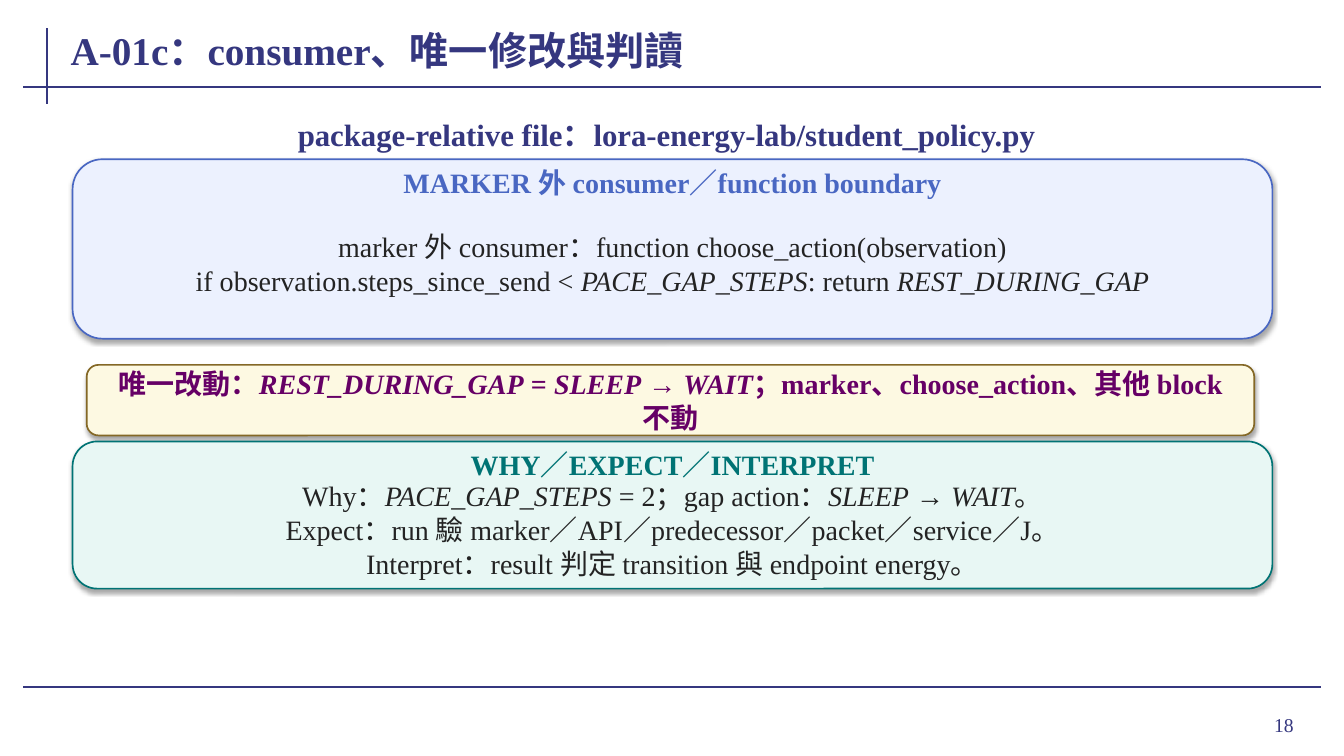
from lxml import etree
from pptx import Presentation
from pptx.dml.color import RGBColor
from pptx.enum.shapes import MSO_CONNECTOR, MSO_SHAPE
from pptx.enum.text import MSO_ANCHOR, PP_ALIGN
from pptx.oxml import parse_xml
from pptx.oxml.ns import qn
from pptx.util import Inches, Pt

LINE = MSO_CONNECTOR.STRAIGHT
ROUND = MSO_SHAPE.ROUNDED_RECTANGLE
MIDDLE = MSO_ANCHOR.MIDDLE
LEFT, CENTER, RIGHT = PP_ALIGN.LEFT, PP_ALIGN.CENTER, PP_ALIGN.RIGHT

FONT = "Times New Roman"
COLORS = {
    "navy": "35377F", "ink": "232323", "purple": "660066",
    "blue": "4967C2", "blue_bg": "ECF1FE",
    "gold": "846826", "gold_bg": "FDF9E2",
    "teal": "007374", "teal_bg": "E8F7F4",
}
SHADOW = (
    '<a:effectLst xmlns:a="http://schemas.openxmlformats.org/drawingml/2006/main">'
    '<a:outerShdw blurRad="%d" dist="%d" dir="5400000" algn="ctr" rotWithShape="0">'
    '<a:srgbClr val="000000"><a:alpha val="35000"/></a:srgbClr>'
    '</a:outerShdw></a:effectLst>' % (Pt(3.1), Pt(1.8))
)


def rgb(name):
    return RGBColor.from_string(COLORS[name])


def write(sp, box, lines, size, color, bold=False, align=CENTER, inset=0.01):
    """Place a text shape and fill it; *asterisks* enclose italic runs."""
    sp.left, sp.top, sp.width, sp.height = (Inches(v) for v in box)
    tf = sp.text_frame
    tf.word_wrap = True
    tf.vertical_anchor = MIDDLE
    tf.margin_left = tf.margin_right = Inches(inset)
    tf.margin_top = tf.margin_bottom = 0
    for i, line in enumerate(lines):
        p = tf.add_paragraph() if i else tf.paragraphs[0]
        p.alignment = align
        p.font.name = FONT
        p.font.size = Pt(size)
        p.font.bold = bold
        p.font.color.rgb = rgb(color)
        for j, part in enumerate(line.split("*")):
            if part:
                r = p.add_run()
                r.text = part
                if j % 2:
                    r.font.italic = True


prs = Presentation()
prs.slide_width, prs.slide_height = Inches(13.33), Inches(7.5)
s = prs.slides.add_slide(prs.slide_layouts[5])

# Frame lines
for x1, y1, x2, y2 in [(0.47, 0.28, 0.47, 1.03),
                       (0.23, 0.86, 13.1, 0.86),
                       (0.23, 6.82, 13.1, 6.82)]:
    line = s.shapes.add_connector(LINE, Inches(x1), Inches(y1), Inches(x2), Inches(y2))
    line.line.color.rgb = rgb("navy")
    line.line.width = Pt(1.5)
    etree.SubElement(line._element.spPr, qn("a:effectLst"))

# Title
write(s.shapes.title, (0.68, 0.18, 11.95, 0.62), ["A-01c：consumer、唯一修改與判讀"],
      28, "navy", True, LEFT, 0.02)

# Cards
for x, y, w, h, color in [(0.72, 1.58, 11.9, 1.78, "blue"),
                          (0.86, 3.62, 11.58, 0.7, "gold"),
                          (0.72, 4.38, 11.9, 1.46, "teal")]:
    card = s.shapes.add_shape(ROUND, Inches(x), Inches(y), Inches(w), Inches(h))
    card.fill.solid()
    card.fill.fore_color.rgb = rgb(color + "_bg")
    card.line.color.rgb = rgb(color)
    card.line.width = Pt(1.2)
    card._element.spPr.append(parse_xml(SHADOW))

# File name, card headings and card texts
texts = [
    ((0.82, 1.16, 11.58, 0.34), 22, "navy", True,
     ["package-relative file：lora-energy-lab/student_policy.py"]),
    ((0.9, 1.68, 11.54, 0.25), 20, "blue", True,
     ["MARKER 外 consumer／function boundary"]),
    ((0.94, 1.96, 11.46, 1.3), 20, "ink", False,
     ["marker 外 consumer：function choose_action(observation)",
      "if observation.steps_since_send < *PACE_GAP_STEPS*: return *REST_DURING_GAP*"]),
    ((1.04, 3.69, 11.22, 0.56), 20, "purple", True,
     ["唯一改動：*REST_DURING_GAP* = *SLEEP* → *WAIT*；marker、choose_action、其他 block 不動"]),
    ((0.9, 4.48, 11.54, 0.25), 20, "teal", True,
     ["WHY／EXPECT／INTERPRET"]),
    ((0.94, 4.76, 11.46, 0.98), 20, "ink", False,
     ["Why：*PACE_GAP_STEPS* = 2；gap action：*SLEEP* → *WAIT*。",
      "Expect：run 驗 marker／API／predecessor／packet／service／J。",
      "Interpret：result 判定 transition 與 endpoint energy。"]),
]
for box, size, color, bold, lines in texts:
    write(s.shapes.add_textbox(0, 0, 0, 0), box, lines, size, color, bold)

# Slide number
write(s.shapes.add_textbox(0, 0, 0, 0), (11.96, 6.93, 0.97, 0.52), ["18"],
      14, "navy", align=RIGHT, inset=0.1)

prs.save("out.pptx")
